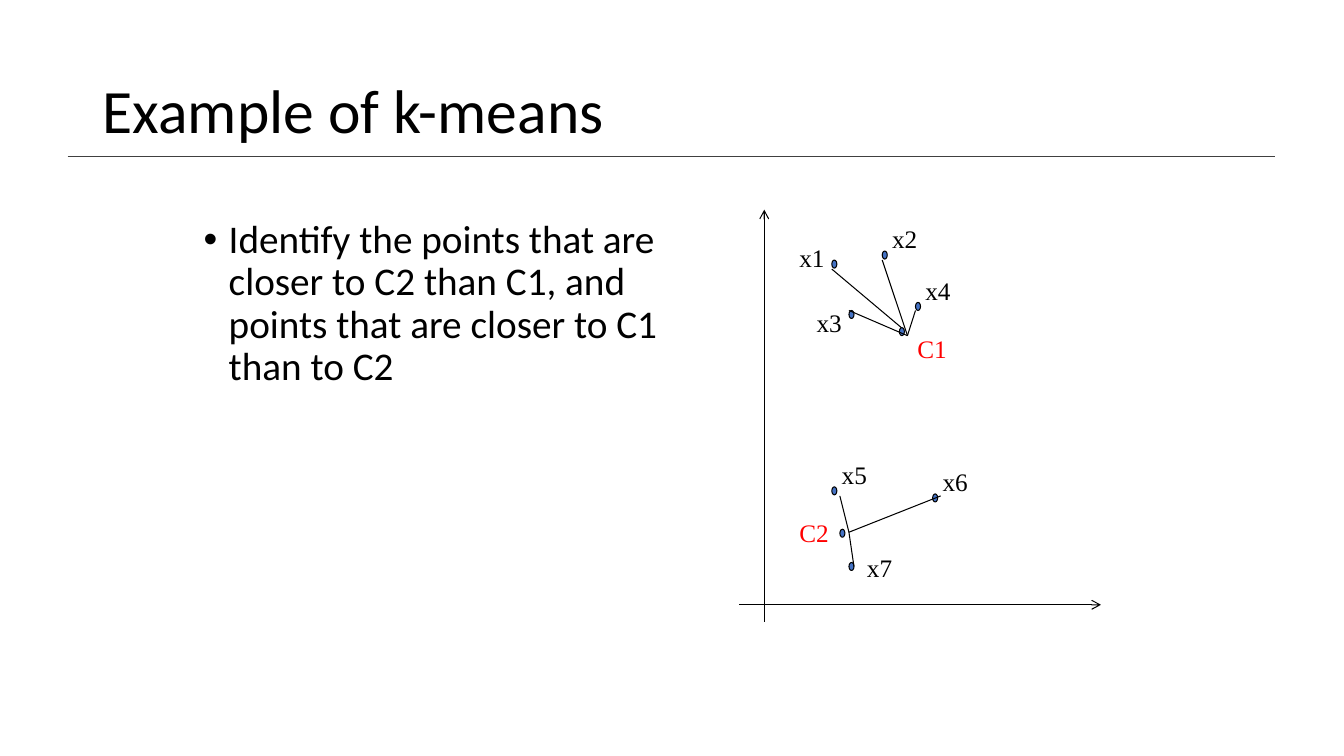
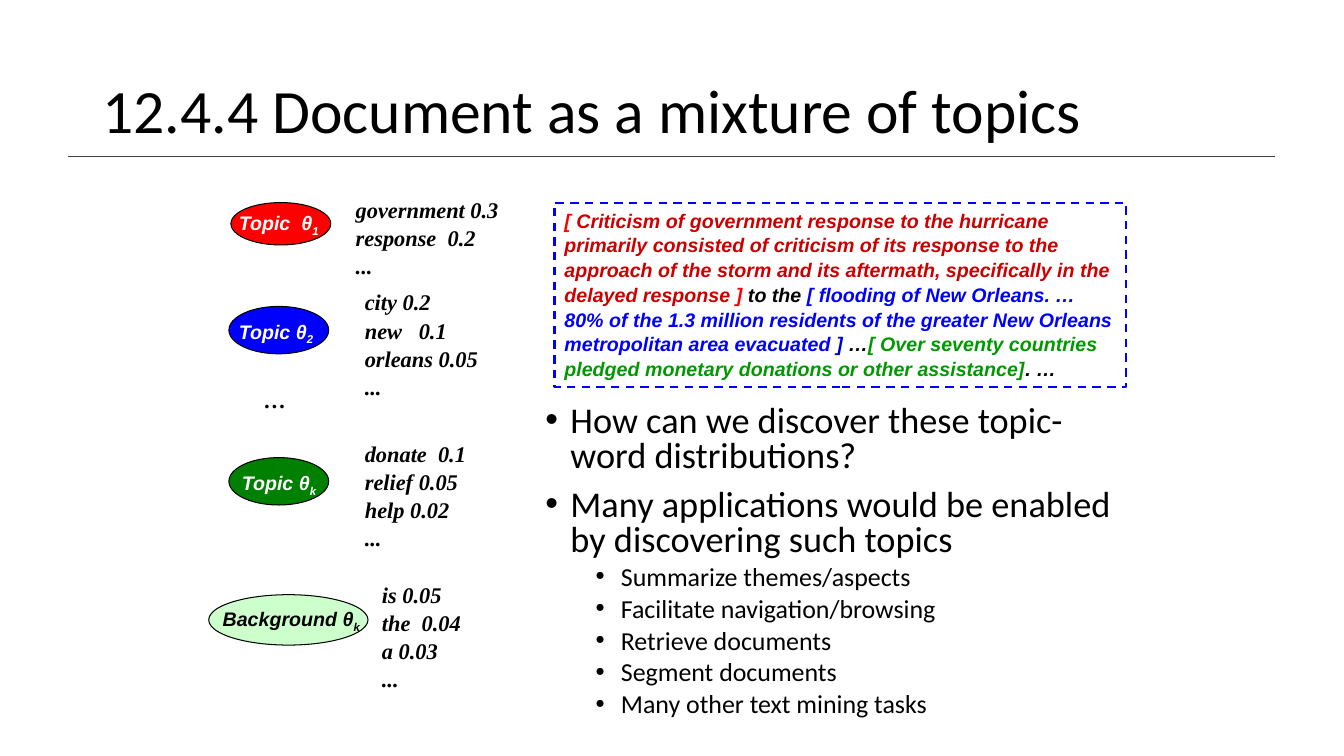
import pptx
import pptx.dml.color
import pptx.enum.dml
import pptx.enum.shapes
import pptx.enum.text
import pptx.oxml.ns
import pptx.util
from lxml import etree

Inches = pptx.util.Inches
Pt = pptx.util.Pt
SHAPES = pptx.enum.shapes.MSO_SHAPE
SERIF = "Times New Roman"
SANS = "Calibri"
LABEL = "Arial"
COLORS = {
    "black": "000000", "white": "FFFFFF", "rule": "404040", "dot": "4472C4",
    "red": "FF0000", "crimson": "CC0000", "blue": "0000FF", "navy": "0000CC",
    "leaf": "009900", "green": "008000", "mint": "CCFFCC",
}


class Deck:
    """Holds the shared style and the current slide, and draws each kind of element."""

    def __init__(self):
        self.show = pptx.Presentation()
        self.show.slide_width = Inches(13.33)
        self.show.slide_height = Inches(7.5)
        self.slide = None

    def color(self, name):
        return pptx.dml.color.RGBColor.from_string(COLORS[name])

    def new_slide(self, title):
        self.slide = self.show.slides.add_slide(self.show.slide_layouts[6])
        self.line((0.67, 1.55), (12.65, 1.55), "rule", 1)
        frame = self.frame(0.92, 0.4, 11.5, 1.45)
        frame.vertical_anchor = pptx.enum.text.MSO_ANCHOR.MIDDLE
        self.fill_paragraph(frame.paragraphs[0], title, SANS, 44, spacing=0.9)

    def frame(self, left, top, width, height):
        box = self.slide.shapes.add_textbox(
            Inches(left), Inches(top), Inches(width), Inches(height))
        box.text_frame.word_wrap = True
        return box.text_frame

    def style(self, run, font, size, color="black", strong=False):
        run.font.name = font
        run.font.size = Pt(size)
        run.font.color.rgb = self.color(color)
        run.font.bold = run.font.italic = strong

    def fill_paragraph(self, paragraph, words, font, size, color="black", strong=False,
                       spacing=1.0):
        paragraph.text = words
        paragraph.line_spacing = spacing
        for run in paragraph.runs:
            self.style(run, font, size, color, strong)

    def text(self, place, words, font, size, color="black", strong=False, spacing=1.0):
        frame = self.frame(*place)
        self.fill_paragraph(frame.paragraphs[0], words, font, size, color, strong, spacing)
        return frame.paragraphs[0]

    def spans(self, place, spans, font, size, spacing):
        paragraph = self.frame(*place).paragraphs[0]
        paragraph.line_spacing = spacing
        for words, color in spans:
            run = paragraph.add_run()
            run.text = words
            self.style(run, font, size, color, True)

    def bullets(self, place, items, sizes, spacing):
        frame = self.frame(*place)
        for index, (level, words) in enumerate(items):
            paragraph = frame.add_paragraph() if index else frame.paragraphs[0]
            self.fill_paragraph(paragraph, words, SANS, sizes[level], spacing=spacing)
            paragraph.level = level
            paragraph.space_before = Pt(5 if level else 10)
            props = paragraph._p.get_or_add_pPr()
            props.set("marL", str(Inches(0.25 + 0.5 * level)))
            props.set("indent", str(Inches(-0.25)))
            for tag, key, value in (("a:buFont", "typeface", "Arial"), ("a:buChar", "char", "•")):
                etree.SubElement(props, pptx.oxml.ns.qn(tag)).set(key, value)

    def shape(self, kind, place, fill=None, line="black", width=0.75):
        shape = self.slide.shapes.add_shape(kind, *map(Inches, place))
        shape.shadow.inherit = False
        if fill:
            shape.fill.solid()
            shape.fill.fore_color.rgb = self.color(fill)
        else:
            shape.fill.background()
        shape.line.color.rgb = self.color(line)
        shape.line.width = Pt(width)
        return shape

    def line(self, start, end, color="black", width=0.75, arrow=False):
        line = self.slide.shapes.add_connector(
            pptx.enum.shapes.MSO_CONNECTOR.STRAIGHT, *map(Inches, start + end))
        line.line.color.rgb = self.color(color)
        line.line.width = Pt(width)
        if arrow:
            tail = etree.SubElement(line.line._get_or_add_ln(), pptx.oxml.ns.qn("a:tailEnd"))
            tail.set("type", "arrow")
        etree.SubElement(line._element.spPr, pptx.oxml.ns.qn("a:effectLst"))

    def point(self, name, dot, label, color="black"):
        self.shape(SHAPES.OVAL, dot + (0.05, 0.08), "dot")
        self.text(label + (0.58, 0.4), name, SERIF, 18, color)

    def topic(self, oval, label, words, index, fill, color="white"):
        self.shape(SHAPES.OVAL, oval, fill)
        paragraph = self.text(label, words, LABEL, 14, color, True)
        subscript = paragraph.add_run()
        subscript.text = index
        self.style(subscript, LABEL, 14, color, True)
        subscript.font._element.set("baseline", "-25000")


def kmeans_slide(deck):
    deck.new_slide("Example of k-means")
    deck.bullets((1.92, 2.13, 5.08, 2.62), [
        (0, "Identify the points that are closer to C2 than C1, "
            "and points that are closer to C1 than to C2")], (28,), 0.9)
    points = [
        ("x1", (8.25, 2.58), (7.83, 2.35)),
        ("x2", (8.75, 2.49), (8.75, 2.17)),
        ("x3", (8.42, 3.08), (8, 3)),
        ("x4", (9.08, 3), (9.08, 2.68)),
        ("x5", (8.25, 4.83), (8.25, 4.51)),
        ("x6", (9.25, 4.9), (9.25, 4.58)),
        ("x7", (8.42, 5.58), (8.5, 5.43)),
        ("C1", (8.92, 3.25), (9, 3.26), "red"),
        ("C2", (8.33, 5.25), (7.83, 5.08), "red"),
    ]
    for point in points:
        deck.point(*point)
    deck.line((7.33, 6), (10.92, 6), arrow=True)
    deck.line((7.58, 6.17), (7.58, 2.08), arrow=True)
    deck.line((8.25, 2.67), (8.94, 3.25))
    clusters = [
        ((9, 3.33), [(8.42, 3.08), (8.75, 2.58), (9.08, 3.08)]),
        ((8.42, 5.28), [(8.33, 4.92), (9.33, 4.92), (8.47, 5.62)]),
    ]
    for center, members in clusters:
        for member in members:
            deck.line(center, member)


def topics_slide(deck):
    deck.new_slide("12.4.4 Document as a mixture of topics")
    deck.bullets((5.31, 3.98, 5.88, 3.27), [
        (0, "How can we discover these topic-word distributions?"),
        (0, "Many applications would be enabled by discovering such topics"),
        (1, "Summarize themes/aspects"),
        (1, "Facilitate navigation/browsing"),
        (1, "Retrieve documents"),
        (1, "Segment documents"),
        (1, "Many other text mining tasks"),
    ], (25.9, 18.5), 0.8)
    topics = [
        ((2.29, 2.01, 0.99, 0.42), (2.27, 2.04, 1.34, 0.33), "Topic  θ", "1", "red"),
        ((2.27, 3.04, 0.99, 0.47), (2.27, 3.12, 1.34, 0.33), "Topic θ", "2", "blue"),
        ((2.27, 4.54, 0.99, 0.47), (2.3, 4.62, 1.17, 0.33), "Topic θ", "k", "green"),
        ((2.07, 5.9, 1.58, 0.5), (2.11, 5.97, 1.67, 0.49), "Background θ", "k", "mint", "black"),
    ]
    for topic in topics:
        deck.topic(*topic)
    word_lists = [
        ((2.52, 3.77, 0.71, 0.37), "…"),
        ((3.43, 1.88, 1.68, 0.91), "government 0.3\nresponse  0.2\n..."),
        ((3.52, 2.8, 1.49, 1.18), "city 0.2\nnew   0.1\norleans 0.05\n..."),
        ((3.52, 4.3, 1.49, 1.18), "donate  0.1\nrelief 0.05\nhelp 0.02\n..."),
        ((3.69, 5.7, 1.34, 1.18), "is 0.05\nthe  0.04\na 0.03\n..."),
    ]
    for place, words in word_lists:
        deck.text(place, words, SERIF, 16, strong=True, spacing=1.05)
    deck.spans((5.5, 2.01, 5.67, 1.75), [
        ("[ ", "red"),
        ("Criticism of government response to the hurricane primarily consisted of "
         "criticism of its response to the approach of the storm and its aftermath, "
         "specifically in the delayed response", "crimson"),
        (" ]", "red"),
        (" to the ", "black"),
        ("[ flooding of New Orleans. … 80% of the 1.3 million residents of the "
         "greater New Orleans metropolitan area evacuated ", "blue"),
        ("]", "navy"),
        (" …", "black"),
        ("[ Over seventy countries pledged monetary donations or other assistance]", "leaf"),
        (". …", "black"),
    ], LABEL, 14, 1.05)
    document = deck.shape(SHAPES.RECTANGLE, (5.5, 2.01, 5.67, 1.83), line="blue", width=1.5)
    document.line.dash_style = pptx.enum.dml.MSO_LINE.DASH


def main():
    deck = Deck()
    kmeans_slide(deck)
    topics_slide(deck)
    deck.show.save("out.pptx")


if __name__ == "__main__":
    main()
